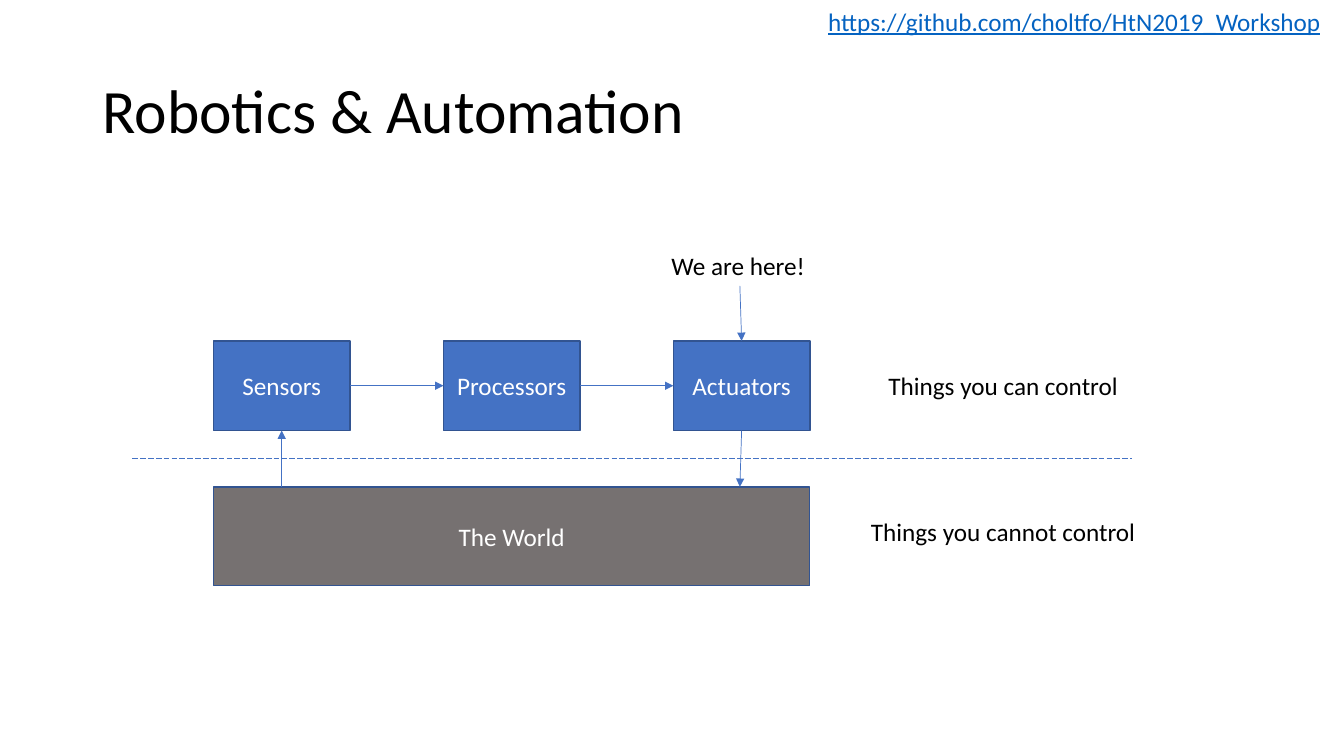
from lxml import etree
from pptx import Presentation
from pptx.dml.color import RGBColor
from pptx.enum.dml import MSO_LINE
from pptx.enum.shapes import MSO_CONNECTOR, MSO_SHAPE
from pptx.enum.text import MSO_ANCHOR, MSO_AUTO_SIZE, PP_ALIGN
from pptx.oxml.ns import qn
from pptx.util import Pt

LEFT, CENTER = PP_ALIGN.LEFT, PP_ALIGN.CENTER
TOP, MIDDLE = MSO_ANCHOR.TOP, MSO_ANCHOR.MIDDLE
NO_FIT = MSO_AUTO_SIZE.NONE
RECT = MSO_SHAPE.RECTANGLE
STRAIGHT = MSO_CONNECTOR.STRAIGHT
LONG_DASH = MSO_LINE.LONG_DASH

BLACK = RGBColor(0x00, 0x00, 0x00)
WHITE = RGBColor(0xFF, 0xFF, 0xFF)
BLUE = RGBColor(0x44, 0x72, 0xC4)
NAVY = RGBColor(0x32, 0x54, 0x91)
GRAY = RGBColor(0x76, 0x71, 0x71)
LINK = RGBColor(0x05, 0x63, 0xC1)


class Sketch:
    """Holds the text style and the current slide."""

    font = "Calibri"
    size = 18

    def __init__(self, slide):
        self.slide = slide
        self.shapes = slide.shapes

    def put_text(self, shape, text, color, align, anchor, size=None):
        frame = shape.text_frame
        frame.text = text
        frame.word_wrap = True
        frame.auto_size = NO_FIT
        frame.vertical_anchor = anchor
        para = frame.paragraphs[0]
        para.alignment = align
        font = para.runs[0].font
        font.name = self.font
        font.size = Pt(size or self.size)
        font.color.rgb = color
        return para

    def title(self, text, x, y, w, h):
        shape = self.shapes.title
        shape.left, shape.top = Pt(x), Pt(y)
        shape.width, shape.height = Pt(w), Pt(h)
        para = self.put_text(shape, text, BLACK, LEFT, MIDDLE, 44)
        para.line_spacing = 0.9

    def block(self, text, x, y, w, h, fill):
        shape = self.shapes.add_shape(RECT, Pt(x), Pt(y), Pt(w), Pt(h))
        shape.shadow.inherit = False
        shape.fill.solid()
        shape.fill.fore_color.rgb = fill
        shape.line.color.rgb = NAVY
        shape.line.width = Pt(1)
        self.put_text(shape, text, WHITE, CENTER, MIDDLE)

    def label(self, text, x, y, w, align=LEFT, color=BLACK):
        shape = self.shapes.add_textbox(Pt(x), Pt(y), Pt(w), Pt(29))
        return self.put_text(shape, text, color, align, TOP)

    def line(self, x1, y1, x2, y2):
        link = self.shapes.add_connector(STRAIGHT, Pt(x1), Pt(y1), Pt(x2), Pt(y2))
        link.line.color.rgb = BLUE
        link.line.width = Pt(0.5)
        etree.SubElement(link._element.spPr, qn("a:effectLst"))
        return link

    def arrow(self, x1, y1, x2, y2):
        link = self.line(x1, y1, x2, y2)
        ln = link._element.spPr.find(qn("a:ln"))
        etree.SubElement(ln, qn("a:tailEnd"), type="triangle")


def main():
    deck = Presentation()
    deck.slide_width, deck.slide_height = Pt(960), Pt(540)
    sketch = Sketch(deck.slides.add_slide(deck.slide_layouts[5]))

    # Title and address
    sketch.title("Robotics & Automation", 66, 28.75, 828, 104.4)
    para = sketch.label("https://github.com/choltfo/HtN2019_Workshop",
                        584.5, 0.7, 375.5, color=LINK)
    para.runs[0].font.underline = True

    # Control chain
    names = ["Sensors", "Processors", "Actuators"]
    left, top, wide, high, step = 152.5, 243.5, 97.5, 64, 164.25
    base, mid = top + high, top + high / 2
    for i, name in enumerate(names):
        x = left + i * step
        sketch.block(name, x, top, wide, high, BLUE)
        if i:
            sketch.arrow(x - step + wide, mid, x, mid)

    # The world and its links to the chain
    floor = 347.75
    span = 2 * step + wide
    sketch.block("The World", left, floor, span, 70.5, GRAY)
    first = left + wide / 2
    last = first + 2 * step
    sketch.arrow(last, base, last - 1.25, floor)
    sketch.arrow(first, floor, first, base)

    # Pointer to the current topic
    sketch.label("We are here!", 472.5, 175.25, 112.5)
    sketch.arrow(last - 1.25, 204.25, last, top)

    # Border between the two zones
    border = sketch.line(94.5, 327.75, 808.5, 327.75)
    border.line.dash_style = LONG_DASH
    sketch.label("Things you can control", 624.25, 261, 184.5, CENTER)
    sketch.label("Things you cannot control", 607, 365.25, 219, CENTER)

    deck.save("out.pptx")


if __name__ == "__main__":
    main()
